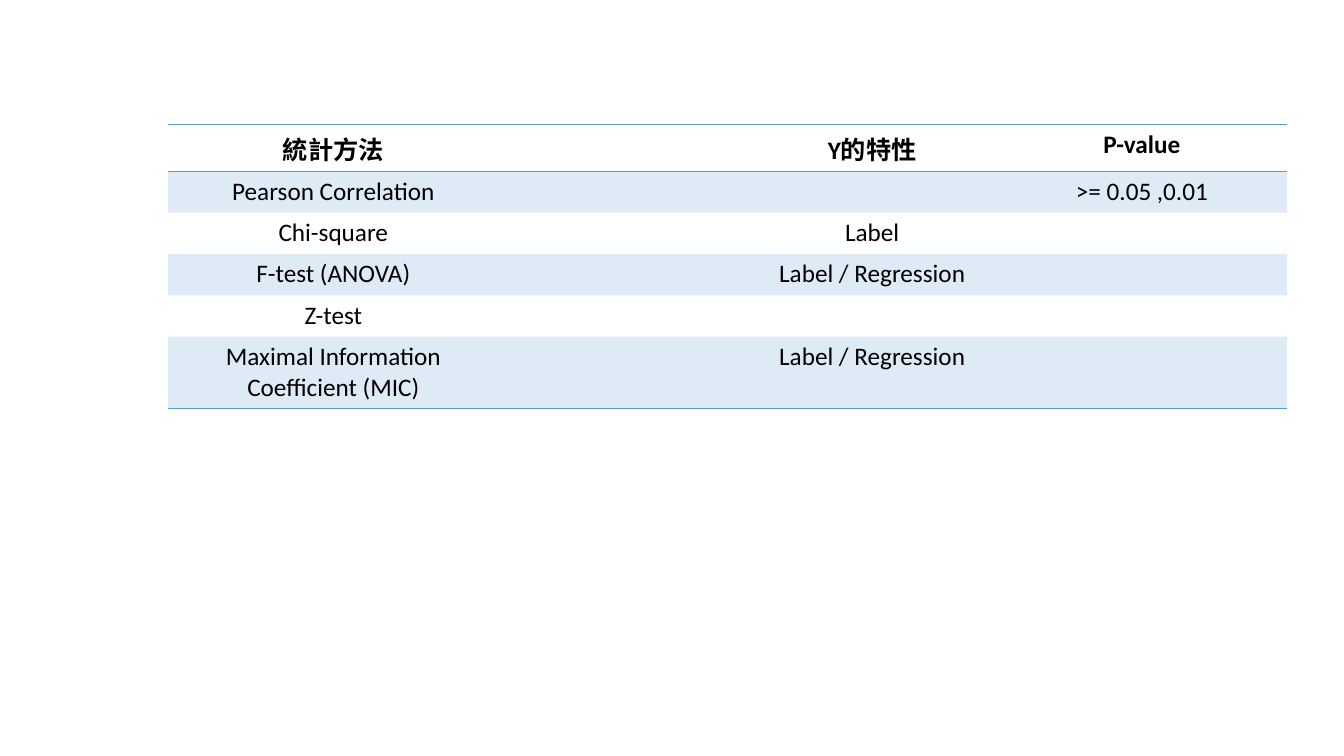
import pptx
import pptx.util
import pptx.dml.color
import pptx.enum.text
import pptx.oxml
import pptx.oxml.ns

COLOURS = {"text": "000000", "accent": "5B9BD5"}
BAND_OPACITY = 20  # percent
RULE_WIDTH = 1  # points
PLAIN_STYLE = "{2D5ABB26-0587-4C30-8999-92F81FD0307C}"

SLIDE_WIDTH = pptx.util.Inches(13.33)
SLIDE_HEIGHT = pptx.util.Inches(7.5)
TABLE_LEFT, TABLE_TOP = 0.125, 0.165  # shares of the slide
COLUMN_WIDTHS = [3.28, 2.47, 2.47, 2.88]
ROW_HEIGHT = 0.41

METHODS = [
    ["統計方法", "", "Y的特性", "P-value"],
    ["Pearson Correlation", "", "", ">= 0.05 ,0.01"],
    ["Chi-square", "", "Label", ""],
    ["F-test (ANOVA)", "", "Label / Regression", ""],
    ["Z-test", "", "", ""],
    ["Maximal Information Coefficient (MIC)", "", "Label / Regression", ""],
]


def colour(name):
    return pptx.dml.color.RGBColor.from_string(COLOURS[name])


def write_text(cell, text, bold):
    """Centre the text in the cell and format it."""
    para = cell.text_frame.paragraphs[0]
    para.alignment = pptx.enum.text.PP_ALIGN.CENTER
    formats = {"name": "Calibri", "size": pptx.util.Pt(18), "bold": bold}
    fonts = [para.font]
    if text:
        span = para.add_run()
        span.text = text
        span.font.color.rgb = colour("text")
        fonts.append(span.font)
    for font in fonts:
        for attribute, value in formats.items():
            setattr(font, attribute, value)


def fill_band(cell):
    """Give the cell a translucent accent fill."""
    cell.fill.solid()
    cell.fill.fore_color.rgb = colour("accent")
    tint = cell._tc.tcPr.find(".//" + pptx.oxml.ns.qn("a:srgbClr"))
    alpha = pptx.oxml.parse_xml(
        f'<a:alpha {pptx.oxml.ns.nsdecls("a")} val="{BAND_OPACITY * 1000}"/>')
    tint.append(alpha)


def draw_rules(cell, edges):
    """Draw the named cell edges (T, B), ahead of the fill in the XML."""
    properties = cell._tc.get_or_add_tcPr()
    for position, edge in enumerate(edges):
        rule = pptx.oxml.parse_xml(
            f'<a:ln{edge} {pptx.oxml.ns.nsdecls("a")} w="{pptx.util.Pt(RULE_WIDTH)}">'
            f'<a:solidFill><a:srgbClr val="{COLOURS["accent"]}"/></a:solidFill>'
            f'</a:ln{edge}>')
        properties.insert(position, rule)


def add_methods_table(page):
    frame = page.shapes.add_table(
        len(METHODS), len(COLUMN_WIDTHS),
        int(SLIDE_WIDTH * TABLE_LEFT), int(SLIDE_HEIGHT * TABLE_TOP),
        pptx.util.Inches(sum(COLUMN_WIDTHS)),
        pptx.util.Inches(ROW_HEIGHT * len(METHODS)))
    table = frame.table
    table.horz_banding = False
    style = frame._element.find(".//" + pptx.oxml.ns.qn("a:tableStyleId"))
    style.text = PLAIN_STYLE

    # Grid
    for column, width in zip(table.columns, COLUMN_WIDTHS):
        column.width = pptx.util.Inches(width)
    for row in table.rows:
        row.height = pptx.util.Inches(ROW_HEIGHT)

    # Cells: ruled header, bands on odd rows, closing rule
    rules = {0: "TB", len(METHODS) - 1: "B"}
    for row_index, texts in enumerate(METHODS):
        for column_index, text in enumerate(texts):
            cell = table.cell(row_index, column_index)
            write_text(cell, text, bold=row_index == 0)
            if row_index % 2:
                fill_band(cell)
            else:
                cell.fill.background()
            draw_rules(cell, rules.get(row_index, ""))


def main():
    deck = pptx.Presentation()
    deck.slide_width = SLIDE_WIDTH
    deck.slide_height = SLIDE_HEIGHT
    page = deck.slides.add_slide(deck.slide_layouts[6])
    add_methods_table(page)
    deck.save("out.pptx")


if __name__ == "__main__":
    main()
